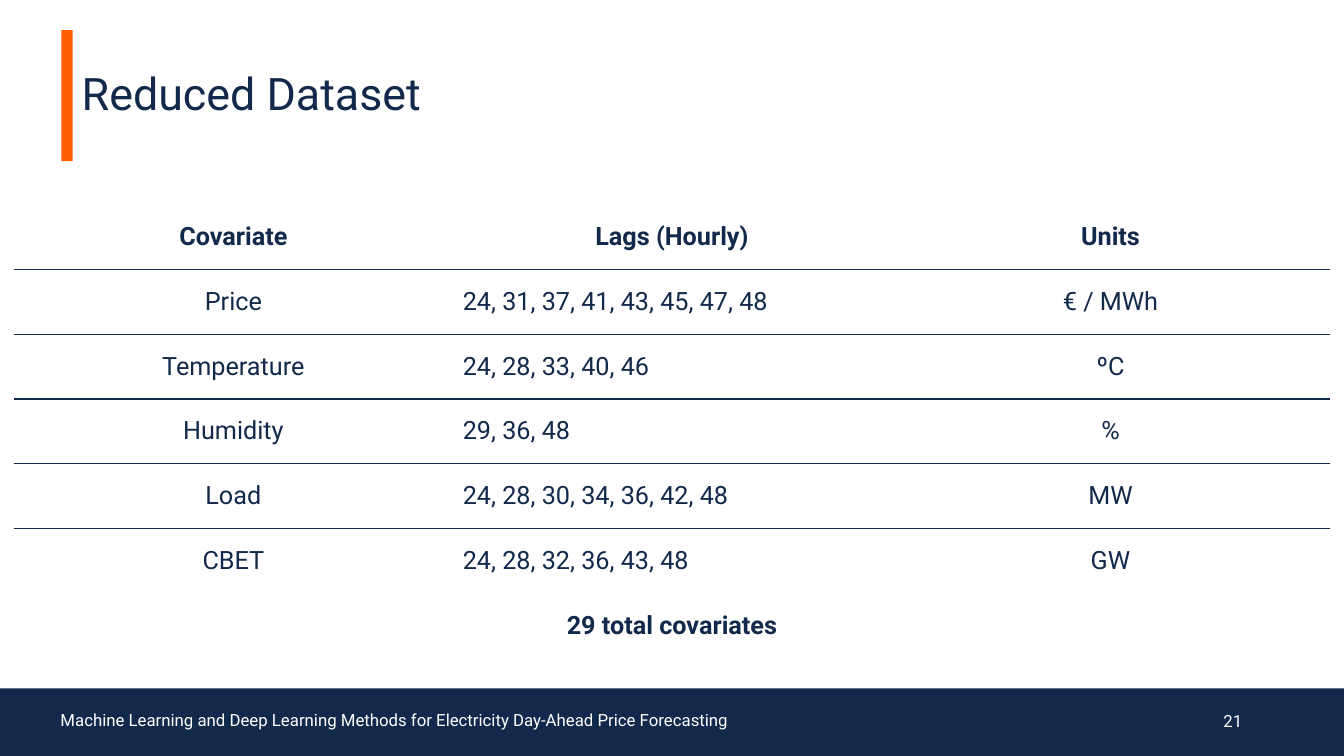
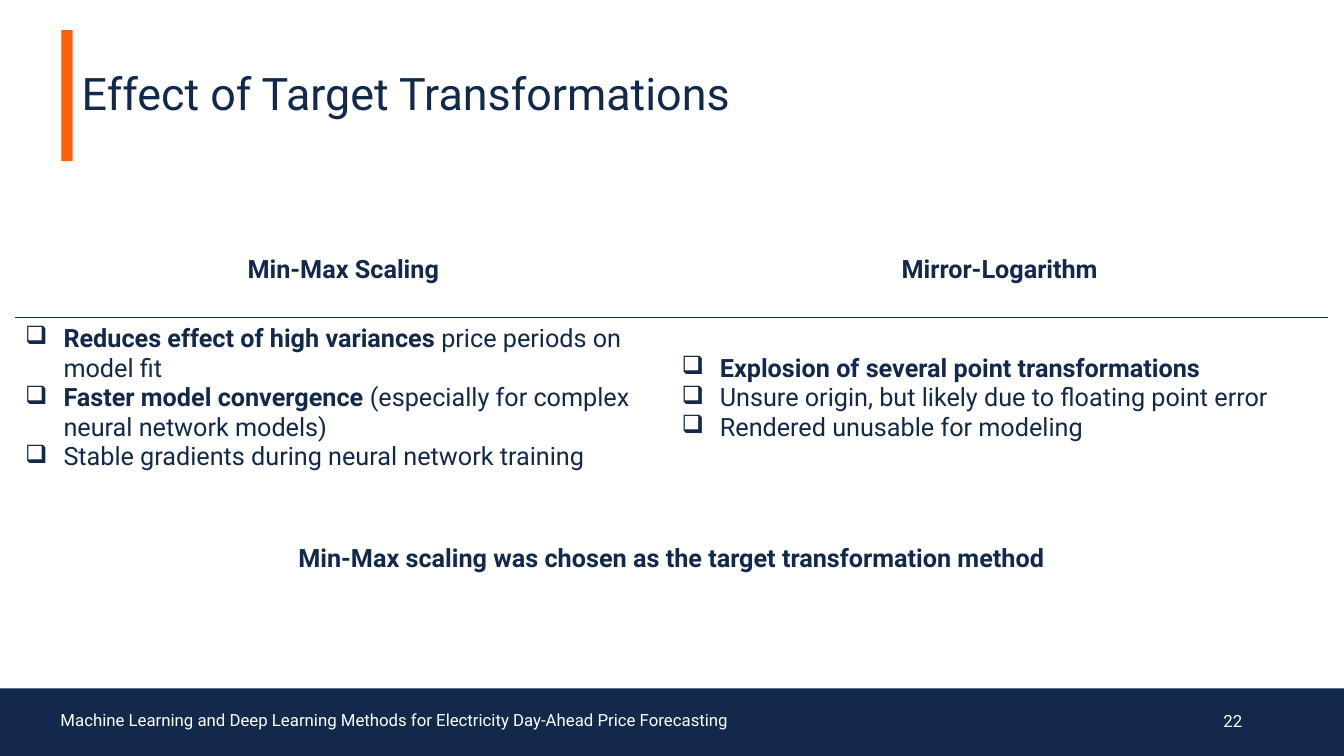
from lxml.etree import SubElement
from pptx import Presentation
from pptx.dml.color import RGBColor
from pptx.enum.shapes import MSO_SHAPE
from pptx.enum.text import MSO_ANCHOR, MSO_AUTO_SIZE, PP_ALIGN
from pptx.oxml import parse_xml
from pptx.oxml.ns import nsdecls, qn
from pptx.util import Inches, Pt

COLORS = {"navy": "13294B", "orange": "FF5F05", "white": "FFFFFF"}
FONT = "Roboto"
SLIDE_W, SLIDE_H = 13.33, 7.5
FOOTER = ("Machine Learning and Deep Learning Methods for "
          "Electricity Day-Ahead Price Forecasting")
NO_GRID_STYLE = "{2D5ABB26-0587-4C30-8999-92F81FD0307C}"
LEFT, CENTER, RIGHT = PP_ALIGN.LEFT, PP_ALIGN.CENTER, PP_ALIGN.RIGHT


def add_run(p, text, size, color, bold=False):
    r = p.add_run()
    r.text = text
    r.font.name = FONT
    r.font.size = Pt(size)
    r.font.bold = bold
    r.font.color.rgb = RGBColor.from_string(COLORS[color])


def set_list_format(p, bullet=None, indent=0):
    pPr = p._p.get_or_add_pPr()
    pPr.set("marL", str(Inches(indent)))
    pPr.set("indent", str(-Inches(indent)))
    if bullet:
        SubElement(pPr, qn("a:buChar")).set("char", bullet)
    else:
        SubElement(pPr, qn("a:buNone"))


def place(sp, left, top, width, height):
    sp.left, sp.top = Inches(left), Inches(top)
    sp.width, sp.height = Inches(width), Inches(height)


def write_line(sp, text, size, color, align=LEFT, spacing=None):
    """Fill a text shape with one vertically centred line."""
    tf = sp.text_frame
    tf.word_wrap = True
    tf.auto_size = MSO_AUTO_SIZE.NONE
    tf.vertical_anchor = MSO_ANCHOR.MIDDLE
    p = tf.paragraphs[0]
    set_list_format(p)
    p.alignment = align
    p.space_before = Pt(0)
    p.line_spacing = spacing
    add_run(p, text, size, color)


def add_band(s, left, top, width, height, color):
    """Add a plain rectangle behind everything else on the slide."""
    sp = s.shapes.add_shape(MSO_SHAPE.RECTANGLE, Inches(left), Inches(top),
                            Inches(width), Inches(height))
    sp.shadow.inherit = False
    sp.fill.solid()
    sp.fill.fore_color.rgb = RGBColor.from_string(COLORS[color])
    sp.line.fill.background()
    s.shapes._spTree.insert(2, sp._element)


def add_slide(prs, title, number):
    s = prs.slides.add_slide(prs.slide_layouts[1])
    add_band(s, 0, 6.83, SLIDE_W, 0.67, "navy")
    add_band(s, 0.61, 0.3, 0.11, 1.3, "orange")
    place(s.shapes.title, 0.71, 0.3, 11.34, 1.3)
    write_line(s.shapes.title, title, 32, "navy", spacing=0.9)
    footer = s.placeholders[1]
    place(footer, 0.5, 6.95, 8.92, 0.4)
    write_line(footer, FOOTER, 12, "white", spacing=0.9)
    page = s.shapes.add_textbox(Inches(9.42), Inches(6.95), Inches(3), Inches(0.4))
    write_line(page, str(number), 12, "white", RIGHT)
    return s


def add_bottom_rule(cell):
    cell._tc.get_or_add_tcPr().insert(0, parse_xml(
        f'<a:lnB {nsdecls("a")} w="{Pt(1)}"><a:solidFill>'
        f'<a:srgbClr val="{COLORS["navy"]}"/></a:solidFill></a:lnB>'))


def fill_cell(cell, content, align, bold):
    """Write a string, or a list of bulleted paragraphs of (text, bold) runs."""
    cell.vertical_anchor = MSO_ANCHOR.MIDDLE
    cell.fill.background()
    tf = cell.text_frame
    bulleted = isinstance(content, list)
    for i, runs in enumerate(content if bulleted else [[(content, bold)]]):
        p = tf.add_paragraph() if i else tf.paragraphs[0]
        if bulleted:
            set_list_format(p, "❑", 0.38)
        p.alignment = align
        for text, is_bold in runs:
            add_run(p, text, 18, "navy", is_bold)


def add_ruled_table(s, left, top, col_width, heights, rows, aligns, conclusion):
    """Add a table with a bold header, ruled rows and a merged last row."""
    n_cols, last = len(aligns), len(rows)
    table = s.shapes.add_table(last + 1, n_cols, Inches(left), Inches(top),
                               Inches(col_width * n_cols),
                               Inches(sum(heights))).table
    table._tbl.tblPr.find(qn("a:tableStyleId")).text = NO_GRID_STYLE
    table.first_row = table.horz_banding = False
    for col in table.columns:
        col.width = Inches(col_width)
    for row, height in zip(table.rows, heights):
        row.height = Inches(height)
    for i, row in enumerate(rows):
        for j, content in enumerate(row):
            cell = table.cell(i, j)
            fill_cell(cell, content, aligns[j] if i else CENTER, bold=i == 0)
            if i < last - 1:
                add_bottom_rule(cell)
    table.cell(last, 0).merge(table.cell(last, n_cols - 1))
    fill_cell(table.cell(last, 0), conclusion, CENTER, bold=True)


def add_dataset_slide(prs):
    s = add_slide(prs, "Reduced Dataset", 21)
    rows = [
        ("Covariate", "Lags (Hourly)", "Units"),
        ("Price", "24, 31, 37, 41, 43, 45, 47, 48", "€ / MWh"),
        ("Temperature", "24, 28, 33, 40, 46", "ºC"),
        ("Humidity", "29, 36, 48", "%"),
        ("Load", "24, 28, 30, 34, 36, 42, 48", "MW"),
        ("CBET", "24, 28, 32, 36, 43, 48", "GW"),
    ]
    heights = [4.5 / 7] * 7
    add_ruled_table(s, 0.14, 2.03, 4.35, heights, rows,
                    (CENTER, LEFT, CENTER), "29 total covariates")


def add_transformations_slide(prs):
    s = add_slide(prs, "Effect of Target Transformations", 22)
    min_max = [
        [("Reduces effect of high variances ", True),
         ("price periods on model fit", False)],
        [("Faster model convergence ", True),
         ("(especially for complex neural network models)", False)],
        [("Stable gradients during neural network training", False)],
    ]
    mirror_log = [
        [("Explosion of several point transformations", True)],
        [("Unsure origin, but likely due to floating point error", False)],
        [("Rendered unusable for modeling", False)],
    ]
    rows = [("Min-Max Scaling", "Mirror-Logarithm"), (min_max, mirror_log)]
    add_ruled_table(s, 0.15, 2.21, 6.51, [0.94, 1.6, 1.6], rows, (LEFT, LEFT),
                    "Min-Max scaling was chosen as the target transformation method")


def main():
    prs = Presentation()
    prs.slide_width, prs.slide_height = Inches(SLIDE_W), Inches(SLIDE_H)
    add_dataset_slide(prs)
    add_transformations_slide(prs)
    prs.save("out.pptx")


if __name__ == "__main__":
    main()
